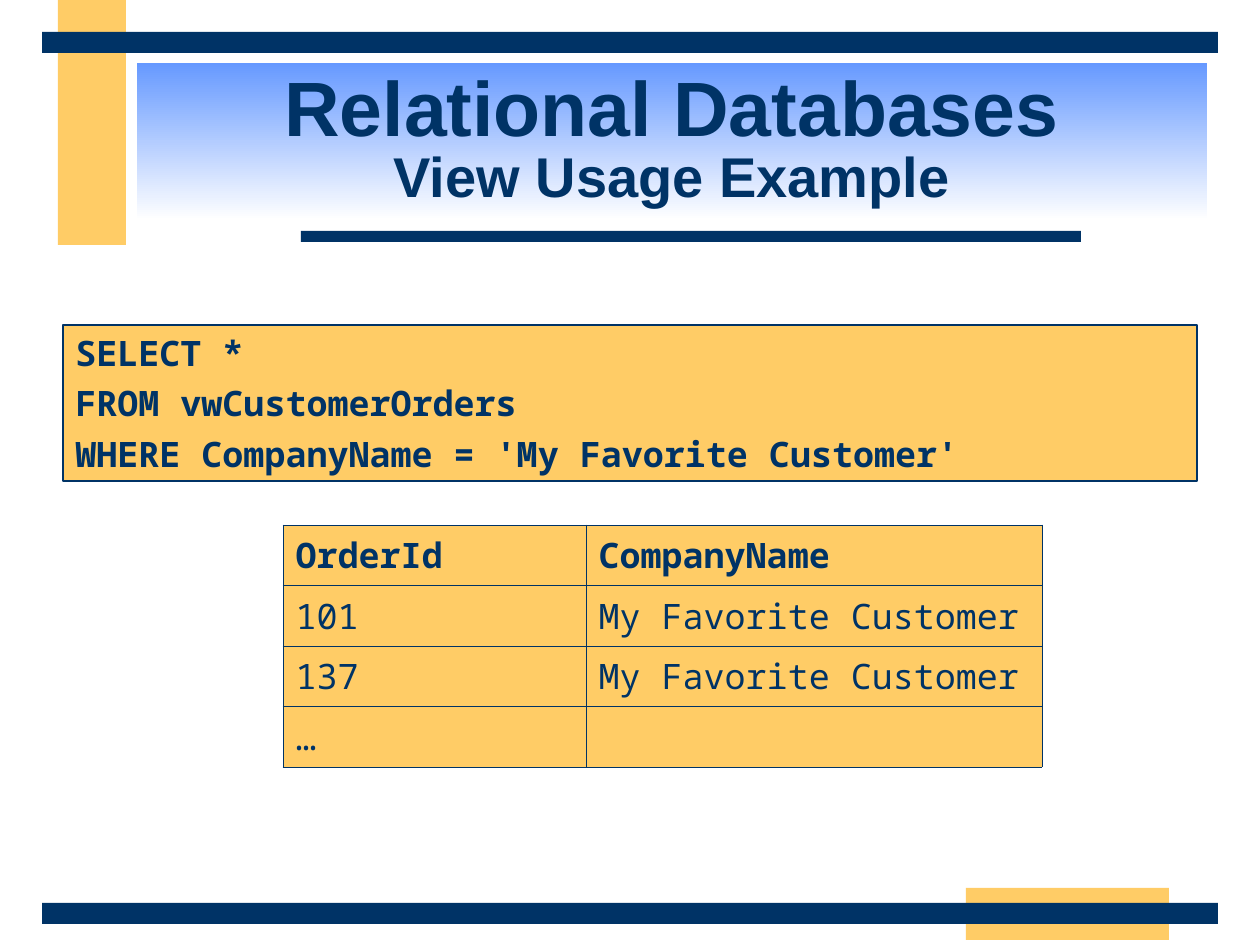
from lxml.etree import SubElement
from pptx import Presentation
from pptx.dml.color import RGBColor
from pptx.enum.shapes import MSO_SHAPE as Shape
from pptx.enum.text import MSO_ANCHOR as Anchor, PP_ALIGN as Align
from pptx.oxml import parse_xml
from pptx.oxml.ns import nsdecls, qn
from pptx.util import Pt

PX = 914400 / 126
NAVY = RGBColor(0x00, 0x33, 0x66)
AMBER = RGBColor(0xFF, 0xCC, 0x66)
SKY = RGBColor(0x66, 0x99, 0xFF)
WHITE = RGBColor(0xFF, 0xFF, 0xFF)

TITLE_FONT = {"name": "Arial", "bold": True}
CODE_FONT = {"name": "Noto Sans Mono", "size": Pt(20)}

BARS = [
    ((58, 0, 68, 245), AMBER),
    ((966, 888, 203, 52), AMBER),
    ((301, 231, 780, 11), NAVY),
    ((42, 903, 1176, 21), NAVY),
    ((42, 32, 1176, 21), NAVY),
]
QUERY = [
    "SELECT *",
    "FROM vwCustomerOrders",
    "WHERE CompanyName = 'My Favorite Customer'",
]
ORDERS = [
    ("OrderId", "CompanyName"),
    ("101", "My Favorite Customer"),
    ("137", "My Favorite Customer"),
    ("…", ""),
]
COLUMN_WIDTHS = (303, 456)
ROW_HEIGHT = 54


def emu(px):
    return round(px * PX)


def add_run(paragraph, text, **font_values):
    run = paragraph.add_run()
    run.text = text
    run.font.color.rgb = NAVY
    for name, value in font_values.items():
        setattr(run.font, name, value)


def add_box(slide, box, color=None):
    """Add a rectangle without line or shadow, filled when a color is given."""
    rectangle = slide.shapes.add_shape(Shape.RECTANGLE, *map(emu, box))
    rectangle.shadow.inherit = False
    rectangle.line.fill.background()
    if color is not None:
        rectangle.fill.solid()
        rectangle.fill.fore_color.rgb = color
    return rectangle


def add_title(slide, heading, subheading):
    banner = add_box(slide, (137, 63, 1070, 157))
    banner.fill.gradient()
    banner.fill.gradient_angle = 270
    for stop, color, position in zip(banner.fill.gradient_stops, (SKY, WHITE), (0, 1)):
        stop.color.rgb = color
        stop.position = position
    frame = banner.text_frame
    frame.word_wrap = True
    frame.vertical_anchor = Anchor.MIDDLE
    title = frame.paragraphs[0]
    title.alignment = Align.CENTER
    title.line_spacing = 0.85
    add_run(title, heading, size=Pt(44), **TITLE_FONT)
    title.add_line_break()
    add_run(title, subheading, size=Pt(32), **TITLE_FONT)


def add_query(slide, lines):
    panel = add_box(slide, (63, 325, 1134, 156), AMBER)
    panel.line.color.rgb = NAVY
    panel.line.width = Pt(1)
    frame = panel.text_frame
    frame.word_wrap = True
    frame.vertical_anchor = Anchor.TOP
    for index, line in enumerate(lines):
        paragraph = frame.add_paragraph() if index else frame.paragraphs[0]
        paragraph.alignment = Align.LEFT
        paragraph.space_before = Pt(5 if index else 0)
        add_run(paragraph, line, bold=True, **CODE_FONT)


def add_borders(cell):
    properties = cell._tc.get_or_add_tcPr()
    for index, side in enumerate(("lnL", "lnR", "lnT", "lnB")):
        border = parse_xml(f'<a:{side} {nsdecls("a")} w="{Pt(0.45)}"/>')
        fill = SubElement(border, qn("a:solidFill"))
        SubElement(fill, qn("a:srgbClr"), val=str(NAVY))
        properties.insert(index, border)


def add_orders(slide, rows):
    box = (283, 525, sum(COLUMN_WIDTHS), ROW_HEIGHT * len(rows))
    frame = slide.shapes.add_table(len(rows), len(COLUMN_WIDTHS), *map(emu, box))
    table = frame.table
    table.horz_banding = False
    for column, width in zip(table.columns, COLUMN_WIDTHS):
        column.width = emu(width)
    for r, row in enumerate(rows):
        for c, text in enumerate(row):
            cell = table.cell(r, c)
            cell.fill.solid()
            cell.fill.fore_color.rgb = AMBER
            add_borders(cell)
            if text:
                add_run(cell.text_frame.paragraphs[0], text, bold=r == 0, **CODE_FONT)


def main():
    deck = Presentation()
    deck.slide_width, deck.slide_height = emu(1260), emu(945)
    slide = deck.slides.add_slide(deck.slide_layouts[6])
    for box, color in BARS:
        add_box(slide, box, color)
    add_title(slide, "Relational Databases", "View Usage Example")
    add_query(slide, QUERY)
    add_orders(slide, ORDERS)
    deck.save("out.pptx")


if __name__ == "__main__":
    main()
